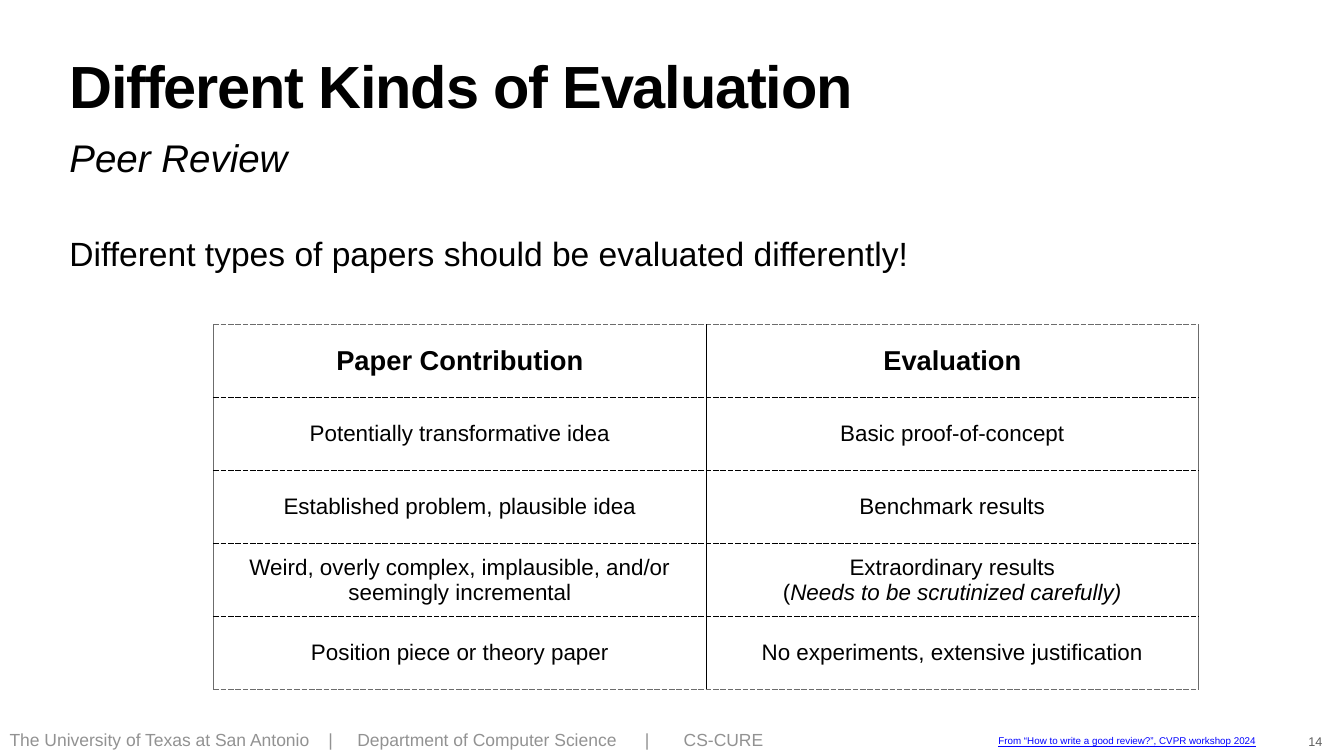
import pptx
import pptx.util
import pptx.dml.color
import pptx.enum.text
import pptx.oxml
import pptx.oxml.ns

Cm, Pt = pptx.util.Cm, pptx.util.Pt
ALIGN = pptx.enum.text.PP_ALIGN
ANCHOR = pptx.enum.text.MSO_ANCHOR

THEME = {
    "font": "Arial",
    "ink": "000000", "footer": "929292", "number": "5E5E5E",
    "link": "0000FF", "edge": "6C6C6C",
    "title": 85, "subtitle": 55, "body": 48, "header": 39, "cell": 32,
    "footer_size": 25, "number_size": 18, "source_size": 14,
}

# Content: a paragraph is a string or a list of (text, italic) spans
TITLE = "Different Kinds of Evaluation"
SUBTITLE = "Peer Review"
MESSAGE = "Different types of papers should be evaluated differently!"
FOOTER = ["The University of Texas at San Antonio", "|",
          "Department of Computer Science", "|", "CS-CURE"]
FOOTER_TABS = [16.07, 17.53, 32.03, 33.98]
SOURCE = "From “How to write a good review?”, CVPR workshop 2024"
PAGE_NUMBER = "14"
ROWS = [
    (["Paper Contribution"], ["Evaluation"]),
    (["Potentially transformative idea"], ["Basic proof-of-concept"]),
    (["Established problem, plausible idea"], ["Benchmark results"]),
    (["Weird, overly complex, implausible, and/or seemingly incremental"],
     ["Extraordinary results",
      [("(", False), ("Needs to be scrutinized carefully)", True)]]),
    (["Position piece or theory paper"],
     ["No experiments, extensive justification"]),
]

# Layout in centimetres
PAGE = (67.74, 38.1)
LEFT, WIDTH = 3.35, 61.04
TABLE_LEFT, TABLE_TOP = 10.77, 16.35
COLUMN_WIDTH, ROW_HEIGHT = 24.82, 3.68
INSET = 0.15


def write(frame, paragraphs, size, color="ink", bold=False, italic=False,
          underline=False, align=ALIGN.LEFT, leading=1.0, tracking=None, tabs=()):
    """Fill a text frame with formatted paragraphs."""
    for index, content in enumerate(paragraphs):
        para = frame.add_paragraph() if index else frame.paragraphs[0]
        para.alignment, para.line_spacing = align, leading
        if tabs:
            properties = para._p.get_or_add_pPr()
            tab_list = pptx.oxml.parse_xml(
                f'<a:tabLst {pptx.oxml.ns.nsdecls("a")}>'
                + "".join(f'<a:tab pos="{Cm(stop)}" algn="l"/>' for stop in tabs)
                + "</a:tabLst>")
            properties.append(tab_list)
        spans = [(content, italic)] if isinstance(content, str) else content
        for text, slanted in spans:
            span = para.add_run()
            span.text = text
            font = span.font
            font.name, font.size = THEME["font"], Pt(THEME[size])
            font.bold, font.italic, font.underline = bold, slanted, underline
            font.color.rgb = pptx.dml.color.RGBColor.from_string(THEME[color])
            if tracking is not None:
                span._r.get_or_add_rPr().set("spc", str(round(tracking * 100)))


def set_margins(target):
    for side in ("left", "top", "right", "bottom"):
        setattr(target, f"margin_{side}", Cm(INSET))


def add_text(page, place, text, size, anchor=ANCHOR.TOP, wrap=True, **style):
    box = page.shapes.add_textbox(*(Cm(length) for length in place))
    frame = box.text_frame
    frame.word_wrap, frame.vertical_anchor = wrap, anchor
    set_margins(frame)
    write(frame, [text], size, **style)


def set_borders(cell, edges):
    """Draw dashed horizontal and solid vertical borders, in L, R, T, B order."""
    properties = cell._tc.get_or_add_tcPr()
    for index, (side, color) in enumerate(zip("LRTB", edges)):
        dash = "solid" if side in "LR" else "dash"
        properties.insert(index, pptx.oxml.parse_xml(
            f'<a:ln{side} {pptx.oxml.ns.nsdecls("a")} w="{Pt(1)}">'
            f'<a:solidFill><a:srgbClr val="{THEME[color]}"/></a:solidFill>'
            f'<a:prstDash val="{dash}"/></a:ln{side}>'))


def add_evaluation_table(page):
    row_count, column_count = len(ROWS), len(ROWS[0])
    table = page.shapes.add_table(
        row_count, column_count, Cm(TABLE_LEFT), Cm(TABLE_TOP),
        Cm(COLUMN_WIDTH * column_count), Cm(ROW_HEIGHT * row_count)).table
    table.first_row = table.horz_banding = False
    for column in table.columns:
        column.width = Cm(COLUMN_WIDTH)
    for r, row in enumerate(ROWS):
        table.rows[r].height = Cm(ROW_HEIGHT)
        for c, paragraphs in enumerate(row):
            cell = table.cell(r, c)
            cell.fill.background()
            cell.vertical_anchor = ANCHOR.MIDDLE
            set_margins(cell)
            write(cell.text_frame, paragraphs, "cell" if r else "header",
                  bold=r == 0, align=ALIGN.CENTER)
            outer = (c == 0, c == column_count - 1, r == 0, r == row_count - 1)
            set_borders(cell, ["edge" if is_outer else "ink" for is_outer in outer])


def main():
    deck = pptx.Presentation()
    deck.slide_width, deck.slide_height = (Cm(length) for length in PAGE)
    page = deck.slides.add_slide(deck.slide_layouts[6])

    # Footer
    add_text(page, (0.33, 36.7, 64.72, 1.32), "\t".join(FOOTER), "footer_size",
             anchor=ANCHOR.MIDDLE, color="footer", leading=0.9, tabs=FOOTER_TABS)

    # Headings and message
    add_text(page, (LEFT, 3, WIDTH, 3.99), TITLE, "title",
             bold=True, leading=0.8, tracking=-1.7)
    add_text(page, (LEFT, 6.6, WIDTH, 2.59), SUBTITLE, "subtitle", italic=True)
    add_text(page, (LEFT, 11.81, WIDTH, 2.59), MESSAGE, "body",
             align=ALIGN.JUSTIFY, leading=0.9)

    # Page number and source
    add_text(page, (65.79, 36.86, 1.02, 1.04), PAGE_NUMBER, "number_size",
             anchor=ANCHOR.BOTTOM, wrap=False, color="number", align=ALIGN.CENTER)
    add_text(page, (50.17, 36.96, 13.46, 0.84), SOURCE, "source_size",
             anchor=ANCHOR.MIDDLE, wrap=False, color="link", underline=True,
             leading=0.9)

    # Table
    add_evaluation_table(page)
    deck.save("out.pptx")


if __name__ == "__main__":
    main()
